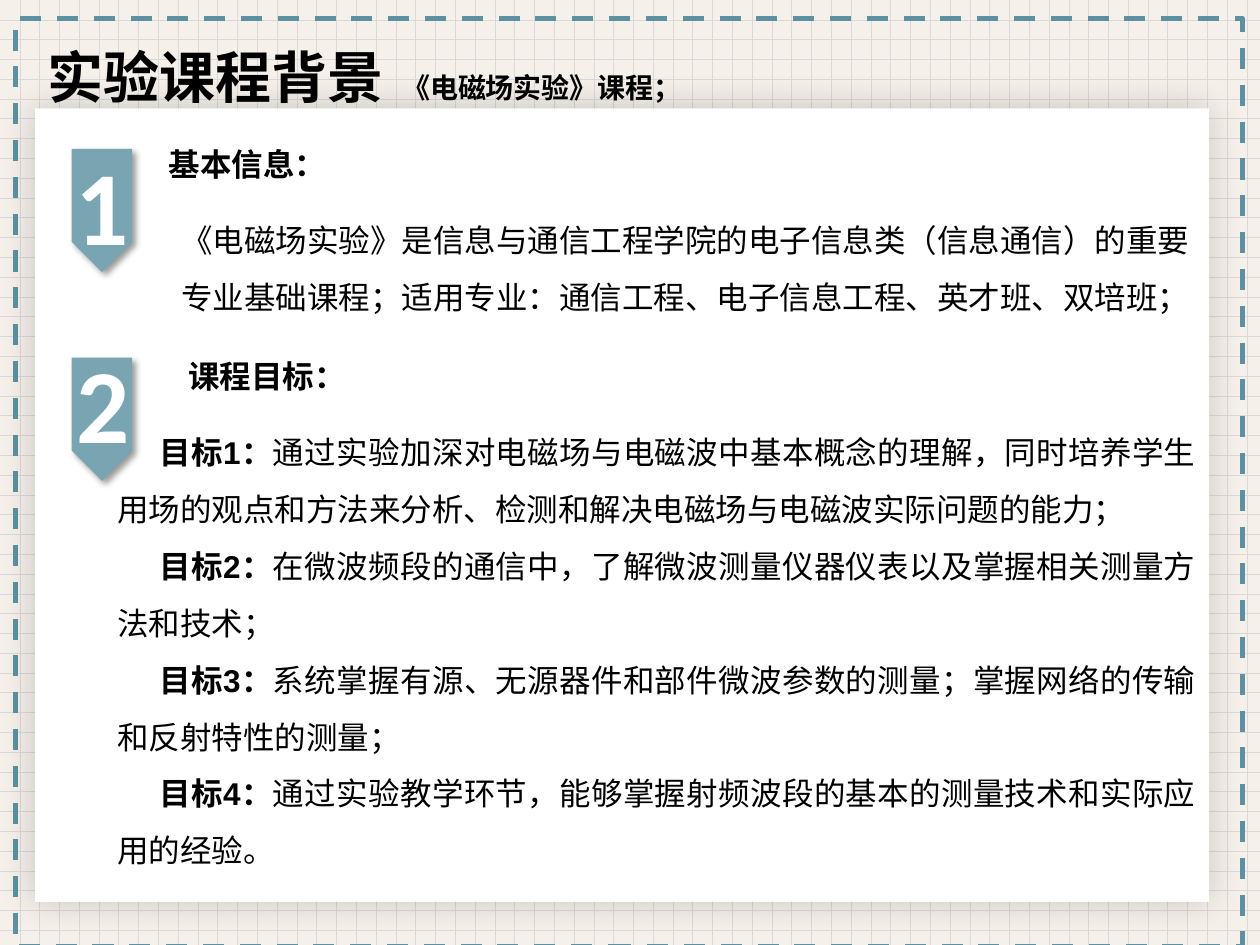
from pptx import Presentation
from pptx.dml.color import RGBColor
from pptx.enum.dml import MSO_LINE, MSO_PATTERN
from pptx.enum.shapes import MSO_SHAPE
from pptx.enum.text import PP_ALIGN
from pptx.oxml import parse_xml
from pptx.oxml.ns import nsdecls, qn
from pptx.util import Pt

GOALS = [
    "通过实验加深对电磁场与电磁波中基本概念的理解，同时培养学生用场的观点和方法来分析、检测和解决电磁场与电磁波实际问题的能力；",
    "在微波频段的通信中，了解微波测量仪器仪表以及掌握相关测量方法和技术；",
    "系统掌握有源、无源器件和部件微波参数的测量；掌握网络的传输和反射特性的测量；",
    "通过实验教学环节，能够掌握射频波段的基本的测量技术和实际应用的经验。",
]


def color(value):
    return RGBColor.from_string(value)


class CourseSlide:
    """Holds the slide style and adds each kind of element, in points."""

    teal, border, white, black = "79A5B2", "5D91A1", "FFFFFF", "000000"
    chinese = "Noto Sans CJK SC"

    def __init__(self, slide):
        self.slide = slide

    def background(self):
        fill = self.slide.background.fill
        fill.patterned()
        fill.pattern = MSO_PATTERN.DOTTED_GRID
        fill.fore_color.rgb = color("D9D9D9")
        fill.back_color.rgb = color("F5F0EA")

    def shape(self, kind, box, fill=None, rotation=0):
        shape = self.slide.shapes.add_shape(kind, *map(Pt, box))
        shape.shadow.inherit = False
        shape.rotation = rotation
        if fill:
            shape.fill.solid()
            shape.fill.fore_color.rgb = color(fill)
            shape.line.fill.background()
        else:
            shape.fill.background()
        return shape

    def frame(self, box):
        line = self.shape(MSO_SHAPE.RECTANGLE, box).line
        line.color.rgb = color(self.border)
        formats = {"width": Pt(3), "dash_style": MSO_LINE.DASH}
        for name, value in formats.items():
            setattr(line, name, value)

    def shadow(self, shape, opacity, blur, distance=0, angle=0):
        effects = shape._element.spPr.find(qn("a:effectLst"))
        effects.append(parse_xml(
            f'<a:outerShdw {nsdecls("a")} blurRad="{Pt(blur)}" dist="{Pt(distance)}" '
            f'dir="{angle * 60000}" algn="ctr" rotWithShape="0"><a:srgbClr val="{self.black}">'
            f'<a:alpha val="{opacity * 1000}"/></a:srgbClr></a:outerShdw>'))

    def panel(self, box):
        self.shadow(self.shape(MSO_SHAPE.RECTANGLE, box, self.white), 18, 21)

    def marker(self, top, number, number_left, number_top):
        shape = self.shape(MSO_SHAPE.PENTAGON, (23, top, 70.5, 34.5), self.teal, 90)
        self.shadow(shape, 40, 4, 3, 45)
        style = {"size": Pt(60), "name": "Calibri", "bold": True}
        self.text((number_left, number_top, 45.5, 80), [[(number, style)]],
                  text_color=self.white, wrap=False)

    def text(self, box, paragraphs, spacing=None, text_color=black, wrap=True,
             align=None, indent=0, tab=None):
        frame = self.slide.shapes.add_textbox(*map(Pt, box)).text_frame
        frame.word_wrap = wrap
        for index, runs in enumerate(paragraphs):
            paragraph = frame.add_paragraph() if index else frame.paragraphs[0]
            properties = paragraph._p.get_or_add_pPr()
            if indent:
                properties.set("marL", "0")
                properties.set("indent", str(Pt(indent)))
            if tab:
                properties.append(parse_xml(
                    f'<a:tabLst {nsdecls("a")}><a:tab pos="{Pt(tab)}" algn="l"/></a:tabLst>'))
            paragraph.alignment = align
            paragraph.line_spacing = Pt(spacing) if spacing else None
            for content, style in runs:
                run = paragraph.add_run()
                run.text = content
                for name, value in style.items():
                    setattr(run.font, name, value)
                run.font.color.rgb = color(text_color)
                run._r.get_or_add_rPr().append(parse_xml(
                    f'<a:ea {nsdecls("a")} typeface="{self.chinese}"/>'))

    def heading(self, left, top, content):
        style = {"size": Pt(18), "name": self.chinese, "bold": True}
        self.text((left, top, 428, 29), [[(content, style)]], spacing=23.2)


def main():
    presentation = Presentation()
    presentation.slide_width, presentation.slide_height = Pt(720), Pt(540)
    page = CourseSlide(presentation.slides.add_slide(presentation.slide_layouts[6]))
    page.background()
    page.frame((8.7, 10.8, 701.3, 530 - 0.1))
    page.panel((20, 62, 671, 453.5))
    page.marker(103, "1", 36, 77)
    page.marker(222.3, "2", 36.5, 190)

    title = {"size": Pt(32), "name": page.chinese, "bold": True}
    page.text((20, 18, 658, 46),
              [[("实验课程背景", title), ("\t《电磁场实验》课程；", {**title, "size": Pt(16)})]],
              spacing=41.2, tab=202.8)
    page.heading(89.3, 77.8, "基本信息：")
    page.heading(100.5, 198.7, "课程目标：")

    body = {"size": Pt(18), "name": "Arial", "bold": False}
    page.text((96.5, 112, 594.7, 69), [[
        ("《电磁场实验》是信息与通信工程学院的电子信息类（信息通信）的重要专业基础课程；", body),
        ("适用专业：通信工程、电子信息工程、英才班、双培班；", {**body, "name": "Calibri"}),
    ]], spacing=32.5)
    goals = [[(f"目标{number}：", {**body, "bold": True}), (goal, body)]
             for number, goal in enumerate(GOALS, 1)]
    page.text((60, 233, 630.7, 264), goals, spacing=32.5,
              align=PP_ALIGN.JUSTIFY, indent=24)
    presentation.save("out.pptx")


if __name__ == "__main__":
    main()
